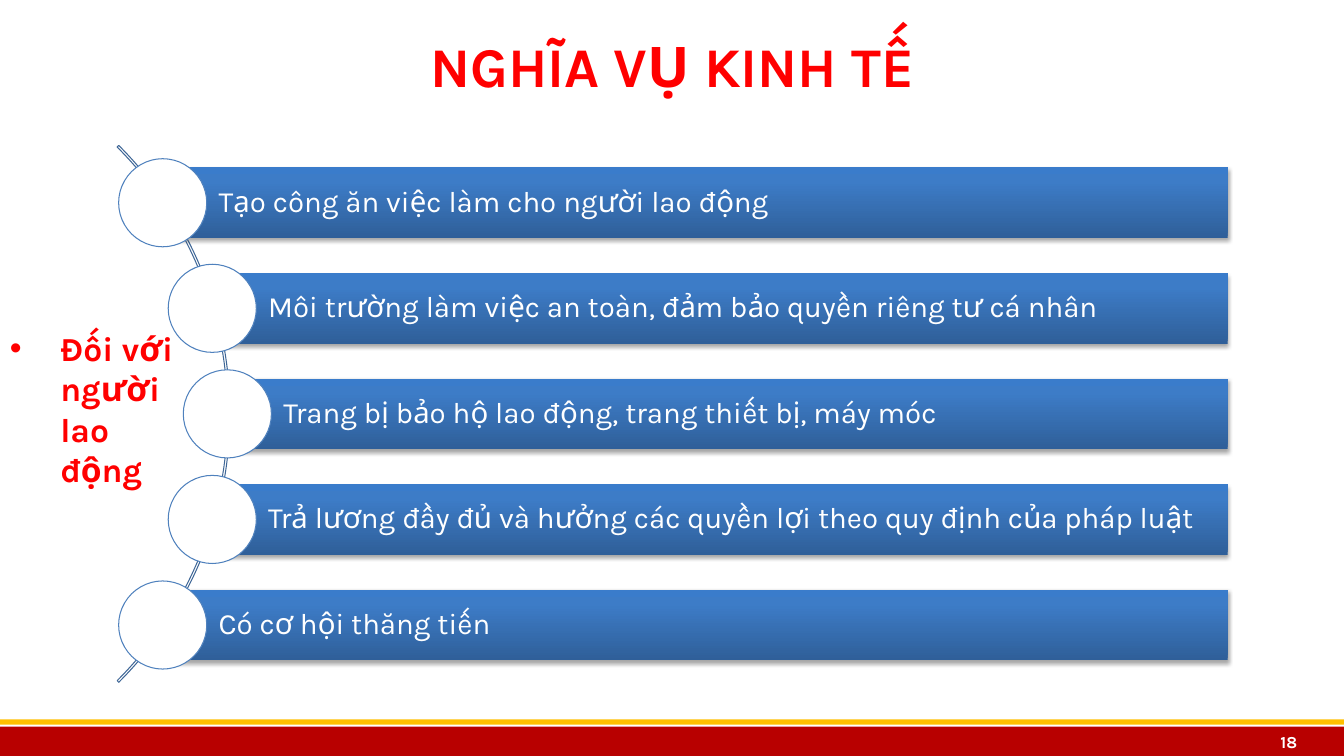
from copy import deepcopy
from math import sqrt

from lxml.etree import SubElement
from pptx import Presentation
from pptx.dml.color import RGBColor
from pptx.enum.shapes import MSO_SHAPE
from pptx.enum.text import MSO_ANCHOR, MSO_AUTO_SIZE, PP_ALIGN
from pptx.oxml.ns import qn
from pptx.util import Cm, Pt

# Content
TITLE = "NGHĨA VỤ KINH TẾ"
AUDIENCE = "Đối với người lao động"
PAGE_NUMBER = "18"
DUTIES = [
    "Tạo công ăn việc làm cho người lao động",
    "Môi trường làm việc an toàn, đảm bảo quyền riêng tư cá nhân",
    "Trang bị bảo hộ lao động, trang thiết bị, máy móc",
    "Trả lương đầy đủ và hưởng các quyền lợi theo quy định của pháp luật",
    "Có cơ hội thăng tiến",
]

# Look
COLORS = {"red": "FF0000", "footer": "B80000", "gold": "FFC000", "white": "FFFFFF",
          "arc": "3F6797", "ring": "4F81BD"}
BAR_GRADIENT = [(0, "2F5F99"), (0.8, "3D7CC7"), (1, "3A7CCB")]
TITLE_FONT = {"name": "Karla", "size": Pt(40), "bold": True}
AUDIENCE_FONT = {"name": "Karla", "size": Pt(24), "bold": True}
DUTY_FONT = {"name": "Karla", "size": Pt(21), "bold": False}
NUMBER_FONT = {"name": "Karla", "size": Pt(12), "bold": True}

# Measures in centimetres
PAGE_WIDTH, PAGE_HEIGHT = 33.87, 19.05
ARC_X, ARC_Y, ARC_SIZE = -3.77, 10.43, 19.13
TRACK_RADIUS, PITCH = 9.5, 2.66
BAR_HEIGHT, BAR_RIGHT, CIRCLE_SIZE = 1.78, 30.94, 2.22
FOOTER_TOP = 18.31


def add_shape(kind, left, top, width, height, fill=None, line=None):
    shape = page.shapes.add_shape(kind, Cm(left), Cm(top), Cm(width), Cm(height))
    shape.shadow.inherit = False
    if fill:
        shape.fill.solid()
        shape.fill.fore_color.rgb = RGBColor.from_string(COLORS[fill])
    else:
        shape.fill.background()
    if line:
        shape.line.color.rgb = RGBColor.from_string(COLORS[line])
        shape.line.width = Pt(0.75)
    else:
        shape.line.fill.background()
    return shape


def write(shape, text, font, color, align, anchor, insets=(0.25, 0.13, 0.25, 0.13)):
    frame = shape.text_frame
    frame.word_wrap = True
    frame.vertical_anchor = anchor
    frame.margin_left, frame.margin_top, frame.margin_right, frame.margin_bottom = map(Cm, insets)
    para = frame.paragraphs[0]
    para.alignment = align
    span = para.add_run()
    span.text = text
    for name, value in font.items():
        setattr(span.font, name, value)
    span.font.color.rgb = RGBColor.from_string(COLORS[color])
    return para


def add_text(left, top, width, height):
    return page.shapes.add_textbox(Cm(left), Cm(top), Cm(width), Cm(height))


def shade_bar(bar):
    bar.fill.gradient()
    bar.fill.gradient_angle = 90
    stop_list = bar.element.spPr.find(".//" + qn("a:gsLst"))
    stop_list.append(deepcopy(stop_list[-1]))
    for stop, (position, color) in zip(bar.fill.gradient_stops, BAR_GRADIENT):
        stop.position = position
        stop.color.rgb = RGBColor.from_string(color)
    effects = bar.element.spPr.find(qn("a:effectLst"))
    shadow = SubElement(effects, qn("a:outerShdw"), blurRad="40000", dist="23000",
                        dir="5400000", rotWithShape="0")
    tint = SubElement(shadow, qn("a:srgbClr"), val="000000")
    SubElement(tint, qn("a:alpha"), val="35000")


deck = Presentation()
deck.slide_width, deck.slide_height = Cm(PAGE_WIDTH), Cm(PAGE_HEIGHT)
page = deck.slides.add_slide(deck.slide_layouts[5])

# Footer bands
add_shape(MSO_SHAPE.RECTANGLE, 0, FOOTER_TOP, PAGE_WIDTH, PAGE_HEIGHT - FOOTER_TOP, "footer")
add_shape(MSO_SHAPE.RECTANGLE, 0, 18.13, PAGE_WIDTH, 0.13, "gold")

# Title
title = page.shapes.title
title.left, title.top, title.width, title.height = Cm(0.94), Cm(0.13), Cm(32), Cm(3)
write(title, TITLE, TITLE_FONT, "red", PP_ALIGN.CENTER, MSO_ANCHOR.MIDDLE)

# Arc behind the list
arc = add_shape(MSO_SHAPE.BLOCK_ARC, ARC_X - ARC_SIZE / 2, ARC_Y - ARC_SIZE / 2,
                ARC_SIZE, ARC_SIZE, line="arc")
for index, value in enumerate((189, 27, 0.003)):
    arc.adjustments[index] = value

# Bars start at the centres of circles spaced along the arc
for index, duty in enumerate(DUTIES):
    offset = (index - (len(DUTIES) - 1) / 2) * PITCH
    center_x = ARC_X + sqrt(TRACK_RADIUS ** 2 - offset ** 2)
    center_y = ARC_Y + offset
    bar = add_shape(MSO_SHAPE.RECTANGLE, center_x, center_y - BAR_HEIGHT / 2,
                    BAR_RIGHT - center_x, BAR_HEIGHT)
    shade_bar(bar)
    para = write(bar, duty, DUTY_FONT, "white", PP_ALIGN.LEFT, MSO_ANCHOR.MIDDLE,
                 (1.41, 0.15, 0.15, 0.15))
    para.line_spacing = 0.9
    add_shape(MSO_SHAPE.OVAL, center_x - CIRCLE_SIZE / 2, center_y - CIRCLE_SIZE / 2,
              CIRCLE_SIZE, CIRCLE_SIZE, "white", "ring")

# Page number
number = add_text(30.73, FOOTER_TOP, 2.21, 0.79)
write(number, PAGE_NUMBER, NUMBER_FONT, "white", PP_ALIGN.RIGHT, MSO_ANCHOR.MIDDLE,
      (0.25, 0, 0.25, 0))

# Audience label with a hanging bullet
audience = add_text(0, 8.13, 4.65, 5.38)
para = write(audience, AUDIENCE, AUDIENCE_FONT, "red", PP_ALIGN.LEFT, MSO_ANCHOR.TOP)
audience.text_frame.auto_size = MSO_AUTO_SIZE.SHAPE_TO_FIT_TEXT
settings = para._p.get_or_add_pPr()
settings.set("marL", str(Cm(1.27)))
settings.set("indent", str(-Cm(1.27)))
SubElement(settings, qn("a:buFont"), typeface="Arial")
SubElement(settings, qn("a:buChar"), char="•")

deck.save("out.pptx")
